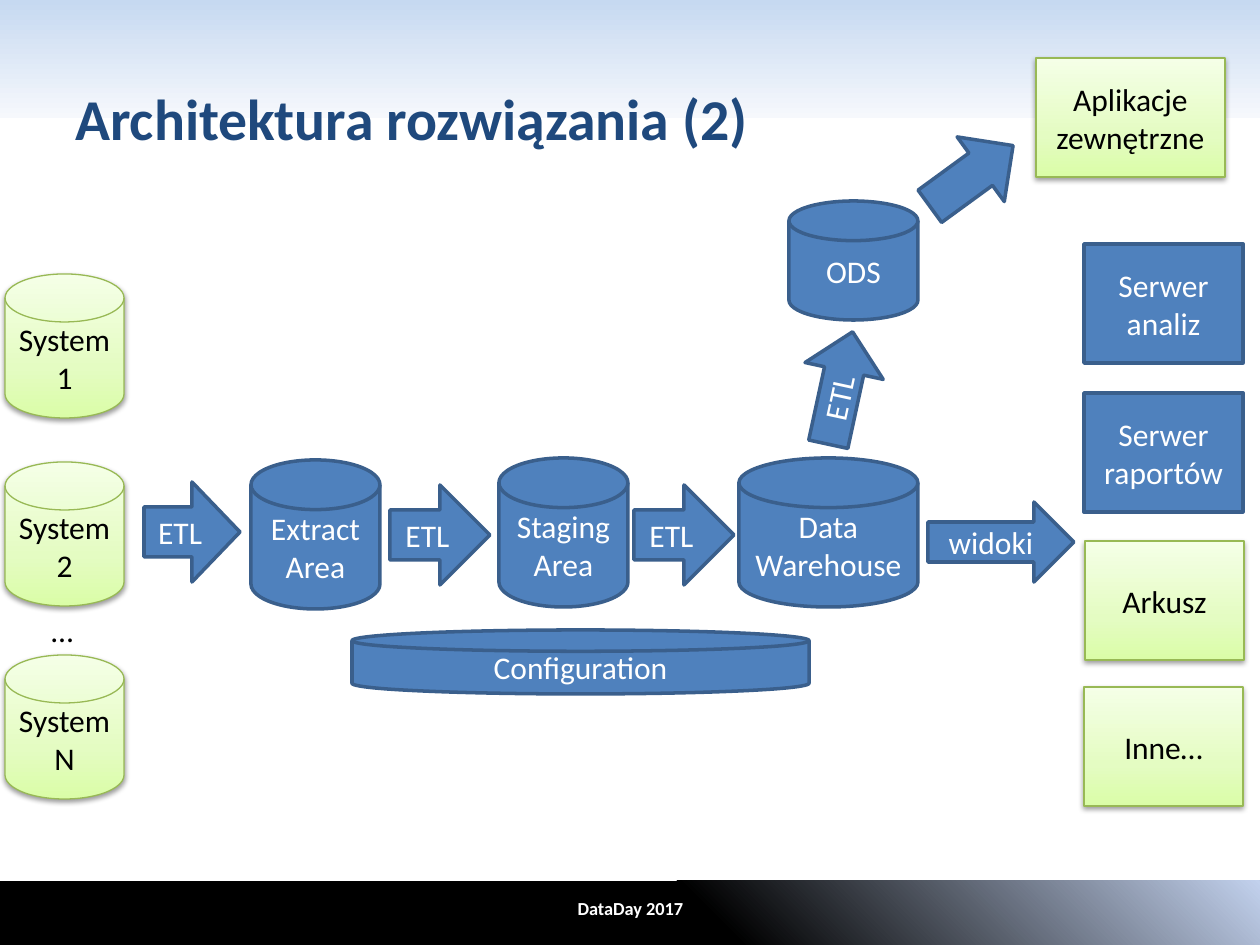
from dataclasses import dataclass

from pptx import Presentation
from pptx.dml.color import RGBColor
from pptx.enum.shapes import MSO_SHAPE
from pptx.enum.text import MSO_ANCHOR, PP_ALIGN
from pptx.oxml import parse_xml
from pptx.oxml.ns import nsdecls
from pptx.util import Emu, Pt

SLIDE_W, SLIDE_H = 1260, 945
EMU_PER_PX = 914400 / 126


@dataclass(frozen=True)
class Theme:
    font: str = "Calibri"
    title_size: float = 33
    label_size: float = 18
    footer_size: float = 10.5
    title: str = "1F497D"
    white: str = "FFFFFF"
    black: str = "000000"
    blue: str = "4F81BD"
    blue_edge: str = "3A5F8C"
    green_edge: str = "98B955"
    green_fade: tuple = ((0, "DAFDA7"), (35, "E4FCC2"), (100, "F5FFE7"))
    header_fade: tuple = ((0, "C6D9F1"), (100, "F6F8FC"))
    footer_fade: tuple = ((0, "000000"), (56, "000000"), (100, "C2D1ED"))


THEME = Theme()


def px(length):
    return Emu(round(length * EMU_PER_PX))


def fill_gradient(shape, stops, angle):
    stop_xml = "".join(
        f'<a:gs pos="{pos * 1000}"><a:srgbClr val="{color}"/></a:gs>'
        for pos, color in stops)
    shape._element.spPr.prstGeom.addnext(parse_xml(
        f'<a:gradFill {nsdecls("a")} rotWithShape="1"><a:gsLst>{stop_xml}</a:gsLst>'
        f'<a:lin ang="{angle * 60000}" scaled="0"/></a:gradFill>'))


def add_soft_shadow(shape):
    effects = shape._element.spPr.find("{*}effectLst")
    effects.append(parse_xml(
        f'<a:outerShdw {nsdecls("a")} blurRad="{Pt(3.1)}" dist="{Pt(1.6)}" '
        'dir="5400000" rotWithShape="0"><a:srgbClr val="000000">'
        '<a:alpha val="38000"/></a:srgbClr></a:outerShdw>'))


def write(shape, text, size, color, bold=False, align=PP_ALIGN.CENTER,
          anchor=MSO_ANCHOR.MIDDLE, wrap=True):
    frame = shape.text_frame
    frame.text = text
    frame.word_wrap = wrap
    frame.vertical_anchor = anchor
    paragraph = frame.paragraphs[0]
    paragraph.alignment = align
    for run in paragraph.runs:
        run.font.name = THEME.font
        run.font.size = Pt(size)
        run.font.bold = bold
        run.font.color.rgb = RGBColor.from_string(color)


def add_text(slide, box, *args, **options):
    write(slide.shapes.add_textbox(*map(px, box)), *args, **options)


def add_outline(slide, kind, box, edge, weight):
    shape = slide.shapes.add_shape(kind, *map(px, box))
    shape.shadow.inherit = False
    shape.line.color.rgb = RGBColor.from_string(edge)
    shape.line.width = Pt(weight)
    return shape


def add_band(slide, box, stops, angle):
    band = slide.shapes.add_shape(MSO_SHAPE.RECTANGLE, *map(px, box))
    band.shadow.inherit = False
    band.line.fill.background()
    fill_gradient(band, stops, angle)


def add_internal(slide, kind, box, label="", rotation=0):
    """Blue element of the warehouse itself."""
    shape = add_outline(slide, kind, box, THEME.blue_edge, 2)
    shape.fill.solid()
    shape.fill.fore_color.rgb = RGBColor.from_string(THEME.blue)
    shape.rotation = rotation
    if label:
        write(shape, label, THEME.label_size, THEME.white)


def add_external(slide, kind, box, label):
    """Green element outside the warehouse."""
    shape = add_outline(slide, kind, box, THEME.green_edge, 0.75)
    fill_gradient(shape, THEME.green_fade, 270)
    add_soft_shadow(shape)
    write(shape, label, THEME.label_size, THEME.black)


# Header and footer bands, title and event name
def add_frame(slide):
    add_band(slide, (0, 0, SLIDE_W, 118), THEME.header_fade, 90)
    add_band(slide, (0, 881, SLIDE_W, 64), THEME.footer_fade, 315)
    add_text(slide, (352, 882, 557, 53), "DataDay 2017",
             THEME.footer_size, THEME.white, bold=True)
    add_text(slide, (63, 38, 1134, 158), "Architektura rozwiązania (2)",
             THEME.title_size, THEME.title, bold=True, align=PP_ALIGN.LEFT)


# Source systems on the left
def add_sources(slide):
    for top, name in ((274, "1"), (462, "2"), (655, "N")):
        add_external(slide, MSO_SHAPE.FLOWCHART_MAGNETIC_DISK,
                     (5, top, 119, 144), f"System {name}")
    add_text(slide, (39, 605, 48, 50), "…", THEME.label_size, THEME.black,
             align=PP_ALIGN.LEFT, anchor=MSO_ANCHOR.TOP, wrap=False)


# Databases of the warehouse
def add_stores(slide):
    for label, box in (
        ("Extract Area", (251, 460, 129, 149)),
        ("Staging Area", (499, 458, 129, 149)),
        ("Data Warehouse", (739, 458, 179, 149)),
        ("ODS", (789, 201, 129, 119)),
        ("Configuration", (352, 630, 457, 64)),
    ):
        add_internal(slide, MSO_SHAPE.FLOWCHART_MAGNETIC_DISK, box, label)


# Block arrows between the stages
def add_flows(slide):
    for label, box, rotation in (
        ("ETL", (144, 482, 96, 100), 0),
        ("ETL", (390, 485, 100, 100), 0),
        ("ETL", (634, 485, 100, 100), 0),
        ("widoki", (928, 502, 146, 80), 0),
        ("ETL", (783, 348, 115, 80), 282.2),
        ("", (920, 136, 103, 80), 323.9),
    ):
        add_internal(slide, MSO_SHAPE.RIGHT_ARROW, box, label, rotation)


# Tools and applications that use the data
def add_consumers(slide):
    for add, label, left, top, width in (
        (add_internal, "Serwer analiz", 1084, 244, 159),
        (add_internal, "Serwer raportów", 1084, 393, 159),
        (add_external, "Arkusz", 1085, 541, 159),
        (add_external, "Inne…", 1084, 687, 159),
        (add_external, "Aplikacje zewnętrzne", 1036, 58, 189),
    ):
        add(slide, MSO_SHAPE.RECTANGLE, (left, top, width, 119), label)


def main():
    deck = Presentation()
    deck.slide_width, deck.slide_height = px(SLIDE_W), px(SLIDE_H)
    slide = deck.slides.add_slide(deck.slide_layouts[6])
    add_frame(slide)
    add_stores(slide)
    add_flows(slide)
    add_sources(slide)
    add_consumers(slide)
    deck.save("out.pptx")


if __name__ == "__main__":
    main()
